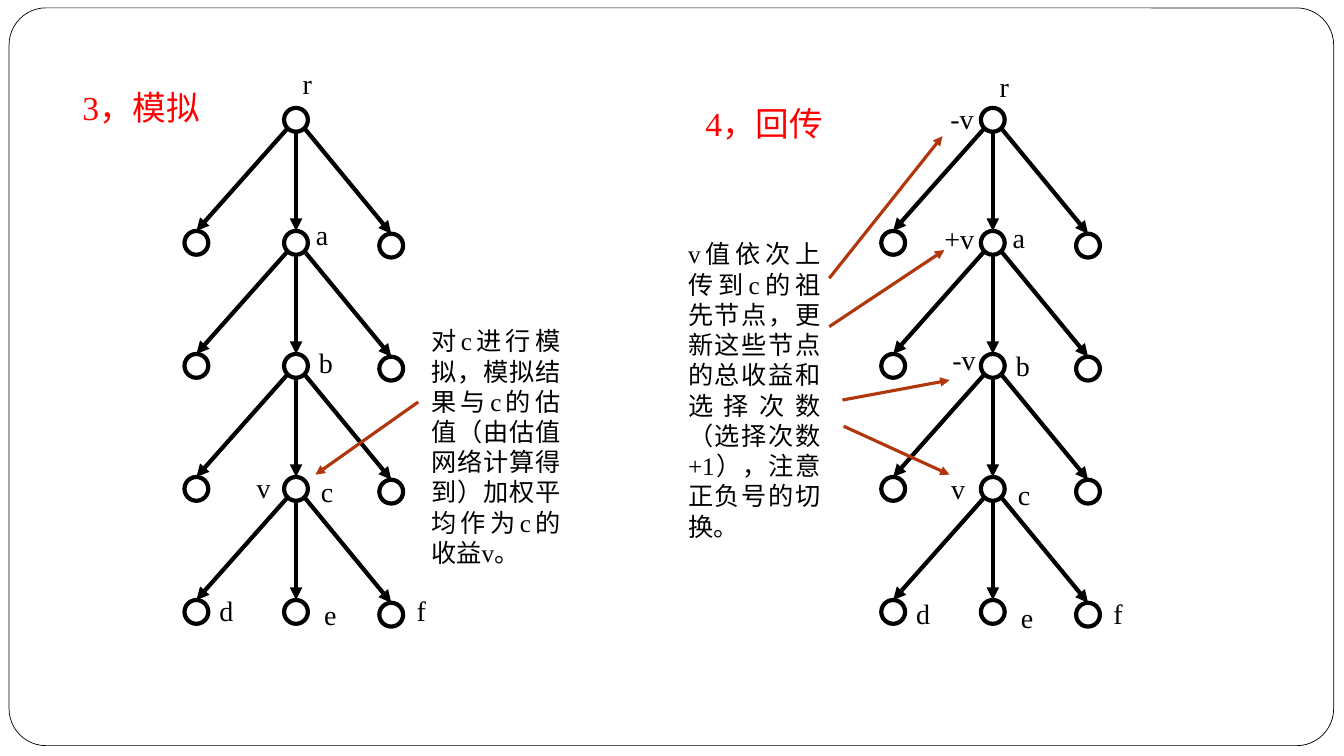
from lxml.etree import SubElement
from pptx import Presentation
from pptx.dml.color import RGBColor
from pptx.enum.shapes import MSO_CONNECTOR, MSO_SHAPE
from pptx.enum.text import MSO_AUTO_SIZE, PP_ALIGN
from pptx.oxml.ns import qn
from pptx.util import Cm, Pt

BLACK, RED, RUST, WHITE = "000000", "FF0000", "B1360B", "FFFFFF"
RADIUS = 0.3
SLANT = 0.21  # offset of a slanted edge's start from the node centre
TOP, STEP = 3.02, 3.1
KIDS = [(-2.51, 0), (0, 0), (2.4, 0.07)]  # offsets from the middle of a level

# Label, offset from the tree axis, top
NAMES = [("r", -0.08, 1.55), ("a", 0.25, 5.36), ("b", 0.33, 8.59),
         ("c", 0.38, 11.84), ("d", -2.18, 14.83), ("e", 0.46, 14.94),
         ("f", 2.79, 14.83)]

PANELS = [
    dict(axis=7.46, drop=0,
         head=("3，模拟", 1.83, 2.06),
         note=("对c进行模拟，模拟结果与c的估值（由估值网络计算得到）"
               "加权平均作为c的收益v。", 10.62, 8.08, 3.76, 6.4),
         values=[("v", -1.24, 11.73)],
         arrows=[(10.54, 10.13, 7.95, 11.96)]),
    dict(axis=25.02, drop=0.07,
         head=("4，回传", 17.53, 2.46),
         note=("v值依次上传到c的祖先节点，更新这些节点的总收益和选择次数"
               "（选择次数+1），注意正负号的切换。", 17.09, 5.89, 3.84, 7.95),
         values=[("-v", -1.32, 2.44), ("+v", -1.47, 5.46),
                 ("-v", -1.27, 8.51), ("v", -1.3, 11.76)],
         arrows=[(20.9, 7.01, 23.75, 3.43), (20.9, 8.23, 23.8, 6.3),
                 (21.23, 10.08, 23.93, 9.58), (21.26, 10.74, 23.93, 11.96)]),
]


def color(code):
    return RGBColor.from_string(code)


def style(item, values):
    """Set each attribute in values on item."""
    for name, value in values.items():
        setattr(item, name, value)


class Board:
    font = "Times New Roman"

    def __init__(self, slide):
        self.shapes = slide.shapes

    def stroke(self, line, code, width):
        line.color.rgb = color(code)
        line.width = Pt(width)

    def frame(self, x, y, w, h):
        box = self.shapes.add_shape(MSO_SHAPE.ROUNDED_RECTANGLE,
                                    Cm(x), Cm(y), Cm(w), Cm(h))
        box.adjustments[0] = 0.05
        box.shadow.inherit = False
        box.fill.solid()
        box.fill.fore_color.rgb = color(WHITE)
        self.stroke(box.line, BLACK, 0.5)

    def node(self, x, y):
        ring = self.shapes.add_shape(MSO_SHAPE.OVAL, Cm(x - RADIUS), Cm(y - RADIUS),
                                     Cm(2 * RADIUS), Cm(2 * RADIUS))
        ring.shadow.inherit = False
        ring.fill.background()
        self.stroke(ring.line, BLACK, 3)

    def arrow(self, x1, y1, x2, y2, code=BLACK, width=3):
        link = self.shapes.add_connector(MSO_CONNECTOR.STRAIGHT,
                                         Cm(x1), Cm(y1), Cm(x2), Cm(y2))
        self.stroke(link.line, code, width)
        SubElement(link.line._get_or_add_ln(), qn("a:tailEnd"), type="triangle")
        SubElement(link._element.spPr, qn("a:effectLst"))

    def text(self, words, x, y, w=1.12, h=1.12, size=20, code=BLACK,
             align=PP_ALIGN.LEFT):
        frame = self.shapes.add_textbox(Cm(x), Cm(y), Cm(w), Cm(h)).text_frame
        style(frame, dict(word_wrap=True, auto_size=MSO_AUTO_SIZE.SHAPE_TO_FIT_TEXT))
        line = frame.paragraphs[0]
        line.alignment = align
        run = line.add_run()
        run.text = words
        style(run.font, dict(name=self.font, size=Pt(size)))
        run.font.color.rgb = color(code)

    def tree(self, axis):
        """Draw a root and four levels, each grown from the middle node above."""
        self.node(axis, TOP)
        for level in range(4):
            y = TOP + level * STEP
            for dx, dy in KIDS:
                side = (dx > 0) - (dx < 0)
                low = y + STEP + dy
                self.node(axis + dx, low)
                self.arrow(axis + side * SLANT, y + (SLANT if side else RADIUS),
                           axis + dx, low - RADIUS)

    def panel(self, axis, drop, head, note, values, arrows):
        self.tree(axis)
        for name, dx, y in NAMES:
            self.text(name, axis + dx, y + drop)
        for value, dx, y in values:
            self.text(value, axis + dx, y, w=1.32 if value == "+v" else 1.12)
        for ends in arrows:
            self.arrow(*ends, code=RUST, width=2.25)
        self.text(*note, size=18, align=PP_ALIGN.JUSTIFY)
        self.text(*head, w=3.58, h=1.27, size=24, code=RED)


def main():
    deck = Presentation()
    style(deck, dict(slide_width=Cm(33.87), slide_height=Cm(19.05)))
    board = Board(deck.slides.add_slide(deck.slide_layouts[6]))
    board.frame(0.23, 0.2, 33.38, 18.59)
    for panel in PANELS:
        board.panel(**panel)
    deck.save("out.pptx")


if __name__ == "__main__":
    main()
